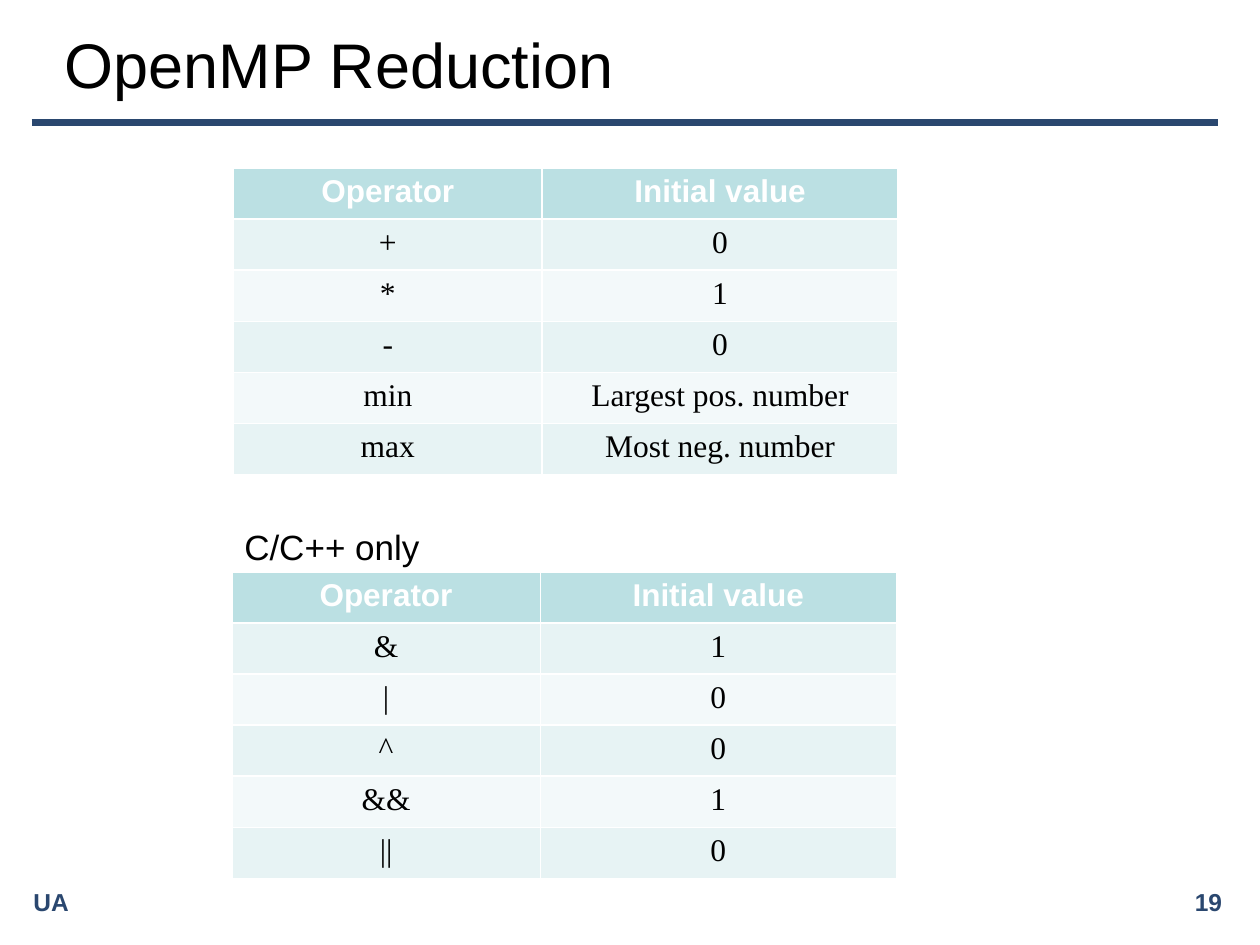
from pptx import Presentation
from pptx.dml.color import RGBColor
from pptx.enum.shapes import MSO_CONNECTOR
from pptx.enum.text import MSO_ANCHOR, PP_ALIGN
from pptx.oxml.ns import qn
from pptx.util import Pt
from lxml import etree

LEFT, MID, RIGHT = PP_ALIGN.LEFT, PP_ALIGN.CENTER, PP_ALIGN.RIGHT
TOP, CENTER = MSO_ANCHOR.TOP, MSO_ANCHOR.MIDDLE

# Content
HEAD = ("Operator", "Initial value")
# left, top, rows
TABLES = [
    (133.5, 96, [("+", "0"), ("*", "1"), ("-", "0"),
                 ("min", "Largest pos. number"),
                 ("max", "Most neg. number")]),
    (132.5, 326.75, [("&", "1"), ("|", "0"), ("^", "0"),
                     ("&&", "1"), ("||", "0")]),
]
# text, style, box, alignment, anchor, wrap
TEXTS = [
    ("19", "foot", (426, 504, 279.5, 22.5), RIGHT, CENTER, True),
    ("UA", "foot", (12, 504, 279.5, 22.5), LEFT, CENTER, True),
    ("OpenMP Reduction", "title", (30, 12, 630, 48), LEFT, CENTER, True),
    ("C/C++ only", "label", (132.5, 296.5, 115, 31.5), LEFT, TOP, False),
]
COLS = (176.25, 203.5)
ROW = 29.2

# Theme: styles are font, size, colour, bold
THEME = {
    "rule": "2A476F",
    "fills": ("BBE0E3", "E7F3F4", "F3F9FA"),
    "foot": ("Arial", 14, "2A476F", True),
    "title": ("Arial", 36, "000000", False),
    "label": ("Arial", 20, "000000", False),
    "head": ("Arial", 18, "FFFFFF", True),
    "body": ("Times New Roman", 18, "000000", False),
}


def rgb(code):
    return RGBColor.from_string(code)


def write(frame, text, style, align):
    para = frame.paragraphs[0]
    para.text = text
    para.alignment = align
    font = para.font
    font.name, size, color, font.bold = THEME[style]
    font.size = Pt(size)
    font.color.rgb = rgb(color)


def add_text(slide, text, style, box, align, anchor, wrap):
    frame = slide.shapes.add_textbox(*map(Pt, box)).text_frame
    frame.word_wrap = wrap
    frame.vertical_anchor = anchor
    write(frame, text, style, align)


def add_grid(slide, left, top, rows):
    rows = [HEAD] + rows
    table = slide.shapes.add_table(
        len(rows), len(COLS), Pt(left), Pt(top),
        Pt(sum(COLS)), Pt(ROW * len(rows))).table
    for col, width in zip(table.columns, COLS):
        col.width = Pt(width)
    for r, row in enumerate(rows):
        table.rows[r].height = Pt(ROW)
        # The header has its own fill; body rows alternate
        fill = THEME["fills"][2 - r % 2 if r else 0]
        for c, text in enumerate(row):
            cell = table.cell(r, c)
            cell.fill.solid()
            cell.fill.fore_color.rgb = rgb(fill)
            write(cell.text_frame, text, "body" if r else "head", MID)


def add_rule(slide):
    line = slide.shapes.add_connector(
        MSO_CONNECTOR.STRAIGHT, Pt(18), Pt(70), Pt(696), Pt(70))
    line.line.color.rgb = rgb(THEME["rule"])
    line.line.width = Pt(4.5)
    etree.SubElement(line._element.spPr, qn("a:effectLst"))


def main():
    deck = Presentation()
    deck.slide_width, deck.slide_height = Pt(720), Pt(540)
    slide = deck.slides.add_slide(deck.slide_layouts[6])
    add_rule(slide)
    for item in TEXTS:
        add_text(slide, *item)
    for item in TABLES:
        add_grid(slide, *item)
    deck.save("out.pptx")


if __name__ == "__main__":
    main()
